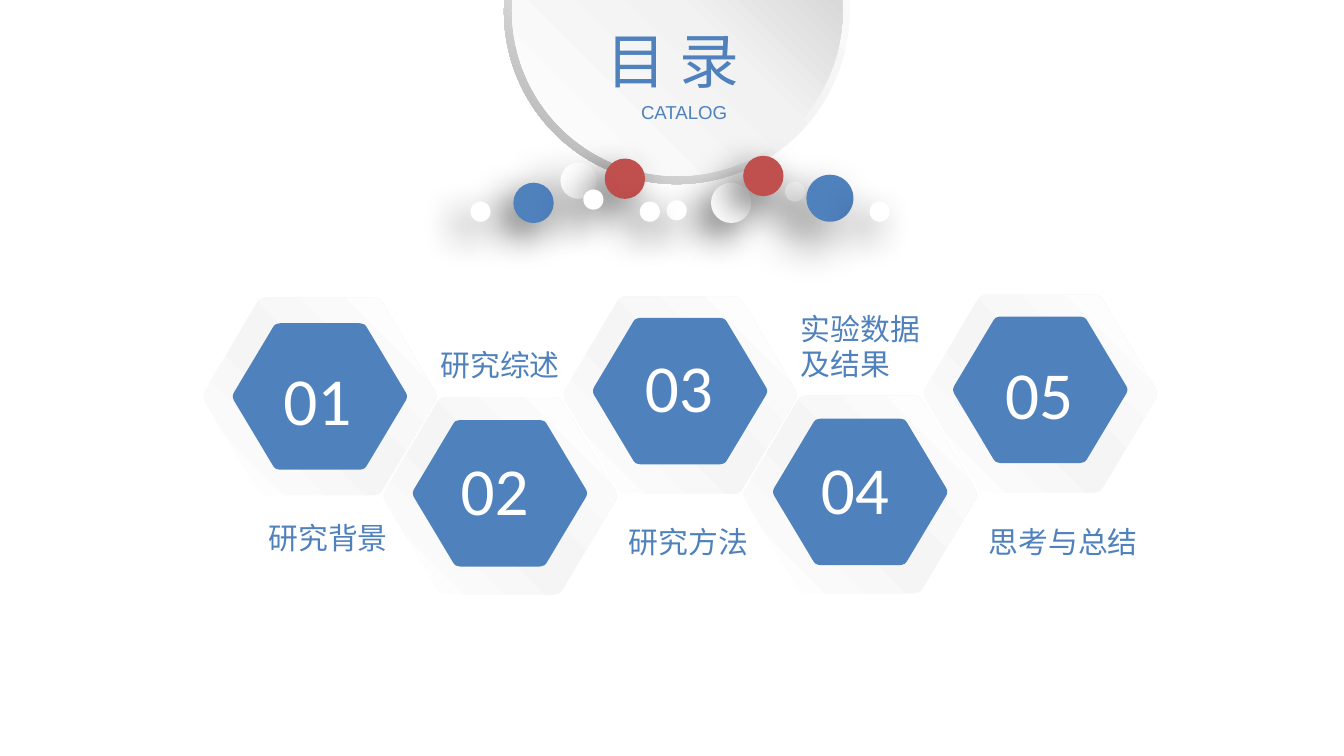
from lxml import etree
from pptx import Presentation
from pptx.dml.color import RGBColor
from pptx.enum.shapes import MSO_SHAPE
from pptx.enum.text import MSO_ANCHOR, MSO_AUTO_SIZE, PP_ALIGN
from pptx.oxml.ns import qn
from pptx.util import Pt

PX = 9144  # 100 px to the inch
OVAL, DONUT = MSO_SHAPE.OVAL, MSO_SHAPE.DONUT
TOP, MIDDLE = MSO_ANCHOR.TOP, MSO_ANCHOR.MIDDLE
LEFT, CENTER = PP_ALIGN.LEFT, PP_ALIGN.CENTER
GROW, FIXED = MSO_AUTO_SIZE.SHAPE_TO_FIT_TEXT, MSO_AUTO_SIZE.NONE

WHITE = RGBColor(0xFF, 0xFF, 0xFF)
PALE = RGBColor(0xF5, 0xF5, 0xF5)
LIGHT = RGBColor(0xF2, 0xF2, 0xF2)
SILVER = RGBColor(0xBF, 0xBF, 0xBF)
GREY = RGBColor(0xA6, 0xA6, 0xA6)
BLUE = RGBColor(0x4F, 0x81, 0xBD)
RED = RGBColor(0xC0, 0x50, 0x4D)
BLACK = RGBColor(0, 0, 0)

RING = [(0, WHITE), (55, LIGHT), (100, GREY)]
DISC = [(0, WHITE), (51, LIGHT), (100, SILVER)]
SHEEN = [(0, WHITE), (47, PALE), (100, WHITE)]

# One rounded quarter of a hexagon, as shares of its width and height
QUARTER = [(.227, .5), (.241, .497), (.255, .491), (.266, .477),
           (.493, .025), (.498, .008)]

# left, top, size, colour, shadow (opacity %, blur, distance)
NEAR, FAR = (60, 20, 10), (50, 25, 15)
DOTS = [
    (529, 136, 30, WHITE, NEAR), (496, 149, 15, WHITE, NEAR),
    (584, 135, 15, WHITE, NEAR), (417, 121, 27, WHITE, FAR),
    (450, 118, 30, RED, NEAR), (476, 150, 15, WHITE, NEAR),
    (600, 130, 35, BLUE, FAR), (382, 136, 30, BLUE, NEAR),
    (350, 150, 15, WHITE, NEAR), (553, 116, 30, RED, NEAR),
    (434, 141, 15, WHITE, NEAR), (647, 150, 15, WHITE, NEAR),
]

# number, middle of the blue core, box of the digits
CELLS = [
    (5, 290, (738, 257, 92, 71)), (3, 291, (470, 252, 85, 71)),
    (1, 295, (201, 262, 88, 71)), (2, 367, (333, 329, 86, 71)),
    (4, 366, (601, 328, 97, 71)),
]

LABELS = [
    ("研究背景", (190, 382, 112, 37)), ("研究综述", (318, 253, 133, 37)),
    ("研究方法", (458, 385, 112, 37)), ("实验数据及结果", (586, 226, 112, 64)),
    ("思考与总结", (726, 385, 143, 37)),
]


def px(*nums):
    return [round(n * PX) for n in nums]


def node(up, tag, **attrs):
    """Add an XML child whose attributes are written as text."""
    return etree.SubElement(up, qn(tag), {k: str(v) for k, v in attrs.items()})


def paint(shape, fill, turn=315):
    """Fill with one colour, or with a list of gradient stops."""
    if isinstance(fill, list):
        grad = etree.Element(qn("a:gradFill"), rotWithShape="1")
        stops = node(grad, "a:gsLst")
        for pos, tint in fill:
            stop = node(stops, "a:gs", pos=pos * 1000)
            node(stop, "a:srgbClr", val=tint)
        node(grad, "a:lin", ang=turn * 60000, scaled=0)
        shape._element.spPr.insert(2, grad)
    else:
        shape.fill.solid()
        shape.fill.fore_color.rgb = fill
    shape.line.fill.background()
    shape.shadow.inherit = False


def round_shape(shapes, kind, box, fill, turn=315):
    shape = shapes.add_shape(kind, *px(*box))
    paint(shape, fill, turn)
    return shape


def cast(shape, alpha, blur, dist):
    """Give the shape a soft shadow to the lower left."""
    effects = shape._element.spPr.find(qn("a:effectLst"))
    shade = node(effects, "a:outerShdw", blurRad=Pt(blur), dist=Pt(dist),
                 dir=135 * 60000, algn="tr", rotWithShape=0)
    tint = node(shade, "a:srgbClr", val=BLACK)
    node(tint, "a:alpha", val=alpha * 1000)


def hexagon(shapes, x, y, wide, high, fill):
    """Draw a rounded hexagon around the centre x, y."""
    back = QUARTER[::-1]
    turns = [(1, -1, QUARTER), (1, 1, back), (-1, 1, QUARTER), (-1, -1, back)]
    spots = [px(x + sx * u * wide, y + sy * v * high)
             for sx, sy, part in turns for u, v in part]
    pen = shapes.build_freeform(*spots[0])
    pen.add_line_segments(spots[1:], close=True)
    paint(pen.convert_to_shape(), fill)


def write(shape, text, size, name, color, align=LEFT, **frame):
    body = shape.text_frame
    style = {"word_wrap": True, "auto_size": GROW, "vertical_anchor": TOP}
    for key, val in (style | frame).items():
        setattr(body, key, val)
    para = body.paragraphs[0]
    para.text, para.alignment = text, align
    font = para.runs[0].font
    font.size, font.name, font.color.rgb = Pt(size), name, color


def cell(shapes, num, mid, box):
    """Draw one numbered hexagon with its pale rim."""
    step = num - 1
    x = 238 + 134 * step
    y = 295 - step // 2 + 74 * (step % 2)
    group = shapes.add_group_shape().shapes
    hexagon(group, x, y, 175, 149, WHITE)
    hexagon(group, x, y, 174, 147, SHEEN)
    hexagon(group, x, mid, 130, 109, BLUE)
    write(group.add_textbox(*px(*box)), f"{num:02}", 36, "Calibri", WHITE)


def heading(shapes):
    title = shapes.title
    title.left, title.top, title.width, title.height = px(441, 13, 135, 64)
    write(title, "目 录", 32, "Noto Sans CJK SC", BLUE)
    shapes._spTree.append(title._element)  # bring in front of the disc
    side, edge = px(7, 4)
    write(shapes.add_textbox(*px(434, 62, 150, 42)), "CATALOG", 10, "Arial",
          BLUE, CENTER, auto_size=FIXED, vertical_anchor=MIDDLE,
          margin_left=side, margin_right=side,
          margin_top=edge, margin_bottom=edge)


def main():
    deck = Presentation()
    deck.slide_width, deck.slide_height = px(1000, 562.5)
    shapes = deck.slides.add_slide(deck.slide_layouts[5]).shapes

    group = shapes.add_group_shape().shapes
    ring = round_shape(group, DONUT, (375, -120, 257, 257), RING, 135)
    ring.adjustments[0] = 0.05
    round_shape(group, OVAL, (381, -115, 246, 246), DISC)
    for x, y, size, fill, shade in DOTS:
        cast(round_shape(shapes, OVAL, (x, y, size, size), fill), *shade)
    heading(shapes)
    for num, mid, box in CELLS:
        cell(shapes, num, mid, box)
    for text, box in LABELS:
        write(shapes.add_textbox(*px(*box)), text, 16, "Arial", BLUE)
    deck.save("out.pptx")


if __name__ == "__main__":
    main()
